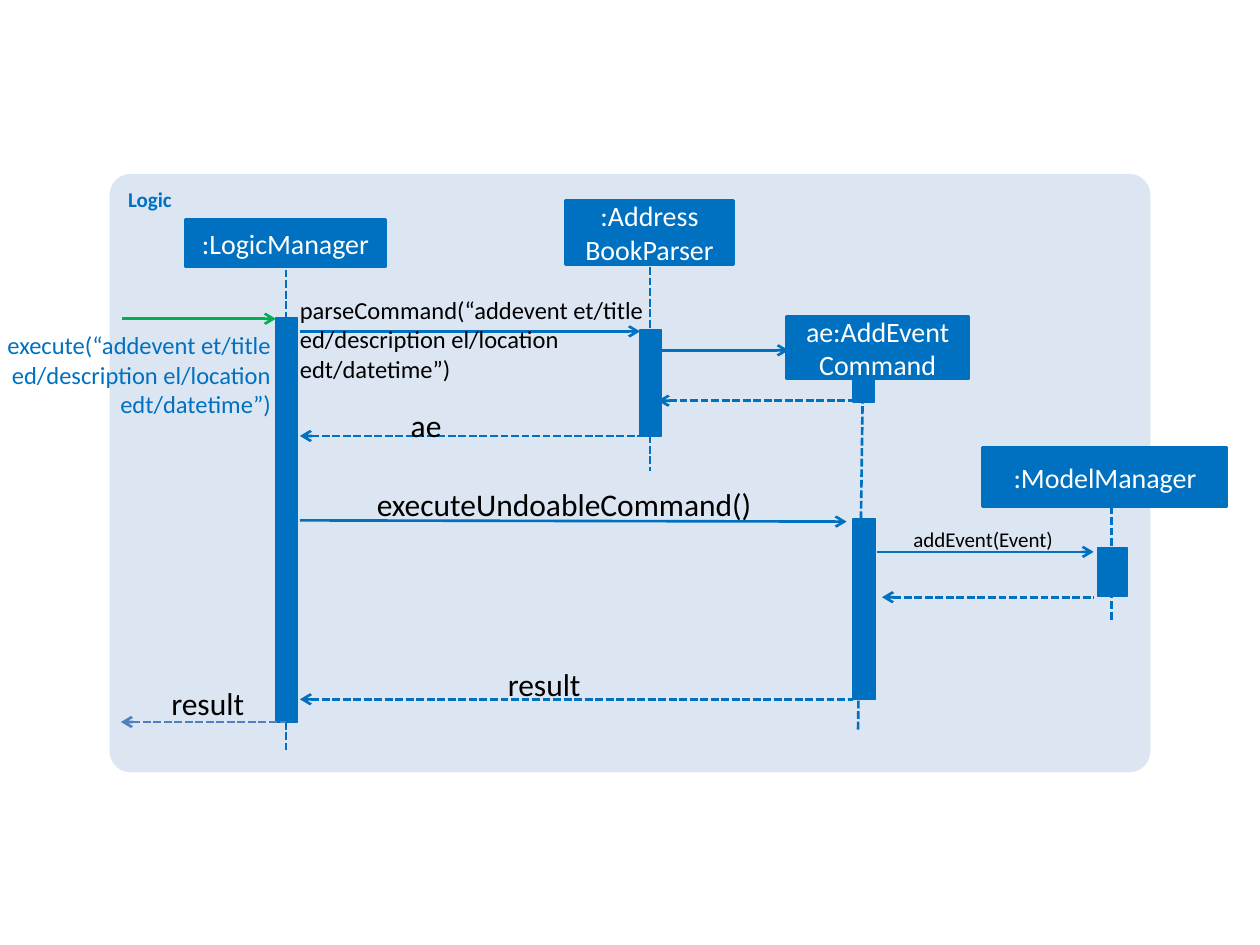
from dataclasses import dataclass

from lxml.etree import SubElement
from pptx import Presentation
from pptx.dml.color import RGBColor
from pptx.enum.dml import MSO_LINE_DASH_STYLE as Dash
from pptx.enum.shapes import MSO_CONNECTOR as Connector, MSO_SHAPE as Shape
from pptx.enum.text import MSO_ANCHOR as Anchor, PP_ALIGN as Align
from pptx.oxml.ns import qn
from pptx.util import Inches, Pt

BLUE = RGBColor(0x00, 0x70, 0xC0)
STEEL = RGBColor(0x4F, 0x81, 0xBD)
PALE = RGBColor(0xDC, 0xE6, 0xF2)
GREEN = RGBColor(0x00, 0xB0, 0x50)
BLACK = RGBColor(0x00, 0x00, 0x00)
WHITE = RGBColor(0xFF, 0xFF, 0xFF)
FONT = "Calibri"


@dataclass
class Box:
    left: float
    top: float
    width: float
    height: float
    text: str = ""
    size: int = 16
    color: RGBColor = WHITE
    align: Align = Align.CENTER


@dataclass
class Line:
    x1: float
    y1: float
    x2: float
    y2: float
    color: RGBColor = BLUE


def bounds(box: Box) -> list:
    return [Inches(value) for value in (box.left, box.top, box.width, box.height)]


def write_text(shape, box: Box, bold: bool = False) -> None:
    frame = shape.text_frame
    frame.word_wrap = True
    frame.text = box.text
    for paragraph in frame.paragraphs:
        paragraph.alignment = box.align
        font = paragraph.font
        font.name = FONT
        font.size = Pt(box.size)
        font.bold = bold
        font.color.rgb = box.color


def draw_region(slide, box: Box) -> None:
    shape = slide.shapes.add_shape(Shape.ROUNDED_RECTANGLE, *bounds(box))
    shape.adjustments[0] = 0.035
    shape.shadow.inherit = False
    shape.fill.solid()
    shape.fill.fore_color.rgb = PALE
    shape.line.fill.background()
    write_text(shape, box, bold=True)
    shape.text_frame.vertical_anchor = Anchor.TOP


def draw_block(slide, box: Box, line_width: float) -> None:
    shape = slide.shapes.add_shape(Shape.RECTANGLE, *bounds(box))
    shape.shadow.inherit = False
    shape.fill.solid()
    shape.fill.fore_color.rgb = BLUE
    shape.line.color.rgb = BLUE
    shape.line.width = Pt(line_width)
    if box.text:
        write_text(shape, box)
        shape.text_frame.vertical_anchor = Anchor.MIDDLE


def draw_label(slide, box: Box) -> None:
    shape = slide.shapes.add_textbox(*bounds(box))
    frame = shape.text_frame
    frame.margin_left = frame.margin_right = 0
    frame.margin_top = frame.margin_bottom = 0
    write_text(shape, box)


def draw_line(slide, line: Line, dashed: bool, arrow_end: str = "") -> None:
    connector = slide.shapes.add_connector(
        Connector.STRAIGHT,
        Inches(line.x1), Inches(line.y1), Inches(line.x2), Inches(line.y2),
    )
    connector.line.color.rgb = line.color
    connector.line.width = Pt(1.5)
    if dashed:
        connector.line.dash_style = Dash.SQUARE_DOT
    properties = connector._element.spPr
    if arrow_end:
        SubElement(properties.find(qn("a:ln")), qn(f"a:{arrow_end}"), type="arrow")
    SubElement(properties, qn("a:effectLst"))


REGION = Box(0.87, 1.38, 8.26, 4.75, "Logic", 12, BLUE, Align.LEFT)

LIFELINES = [
    Line(2.27, 2.14, 2.27, 5.95),
    Line(5.16, 2.12, 5.16, 3.74),
    Line(6.85, 2.89, 6.81, 5.79),
    Line(8.82, 4.02, 8.82, 4.93),
]

ACTIVATIONS = [
    Box(2.19, 2.52, 0.17, 3.21),
    Box(5.08, 2.62, 0.17, 0.84),
    Box(6.77, 2.89, 0.17, 0.3),
    Box(6.77, 4.12, 0.18, 1.43),
    Box(8.71, 4.35, 0.24, 0.38),
]

CALLS = [
    Line(0.97, 2.53, 2.19, 2.53, GREEN),
    Line(2.38, 2.63, 5.08, 2.63),
    Line(5.25, 2.78, 6.26, 2.78),
    Line(2.38, 4.13, 6.72, 4.14),
    Line(6.96, 4.38, 8.68, 4.38),
]

RETURNS = [
    Line(5.22, 3.18, 6.85, 3.18),
    Line(2.38, 3.46, 5.16, 3.46),
    Line(7, 4.74, 8.68, 4.74),
    Line(2.38, 5.55, 6.77, 5.55),
    Line(0.96, 5.73, 2.27, 5.73, STEEL),
]

ARGUMENTS = "(“addevent et/title ed/description el/location edt/datetime”)"
LABELS = [
    Box(-0.96, 2.62, 3.11, 0.71, f"execute{ARGUMENTS}", 14, BLUE, Align.RIGHT),
    Box(2.38, 2.34, 2.79, 0.71, f"parseCommand{ARGUMENTS}", 14, BLACK, Align.LEFT),
    Box(3.26, 3.22, 0.4, 0.3, "ae", 18, BLACK, Align.LEFT),
    Box(2.99, 3.85, 3.09, 0.3, "executeUndoableCommand()", 18, BLACK, Align.LEFT),
    Box(7.25, 4.18, 1.24, 0.2, "addEvent(Event)", 12, BLACK, Align.LEFT),
    Box(4.03, 5.28, 0.68, 0.24, "result", 18, BLACK, Align.LEFT),
    Box(1.36, 5.43, 0.83, 0.24, "result", 18, BLACK, Align.LEFT),
]

PARTICIPANTS = [
    Box(1.47, 1.74, 1.59, 0.38, ":LogicManager"),
    Box(4.49, 1.59, 1.33, 0.51, ":Address\nBookParser"),
    Box(6.24, 2.51, 1.45, 0.5, "ae:AddEvent\vCommand"),
    Box(7.8, 3.55, 1.94, 0.47, ":ModelManager"),
]

presentation = Presentation()
presentation.slide_width = Inches(10)
presentation.slide_height = Inches(7.5)
slide = presentation.slides.add_slide(presentation.slide_layouts[6])

draw_region(slide, REGION)
for lifeline in LIFELINES:
    draw_line(slide, lifeline, dashed=True)
for activation in ACTIVATIONS:
    draw_block(slide, activation, 0.75)
for call in CALLS:
    draw_line(slide, call, dashed=False, arrow_end="tailEnd")
for reply in RETURNS:
    draw_line(slide, reply, dashed=True, arrow_end="headEnd")
for label in LABELS:
    draw_label(slide, label)
for participant in PARTICIPANTS:
    draw_block(slide, participant, 1.5)

presentation.save("out.pptx")
